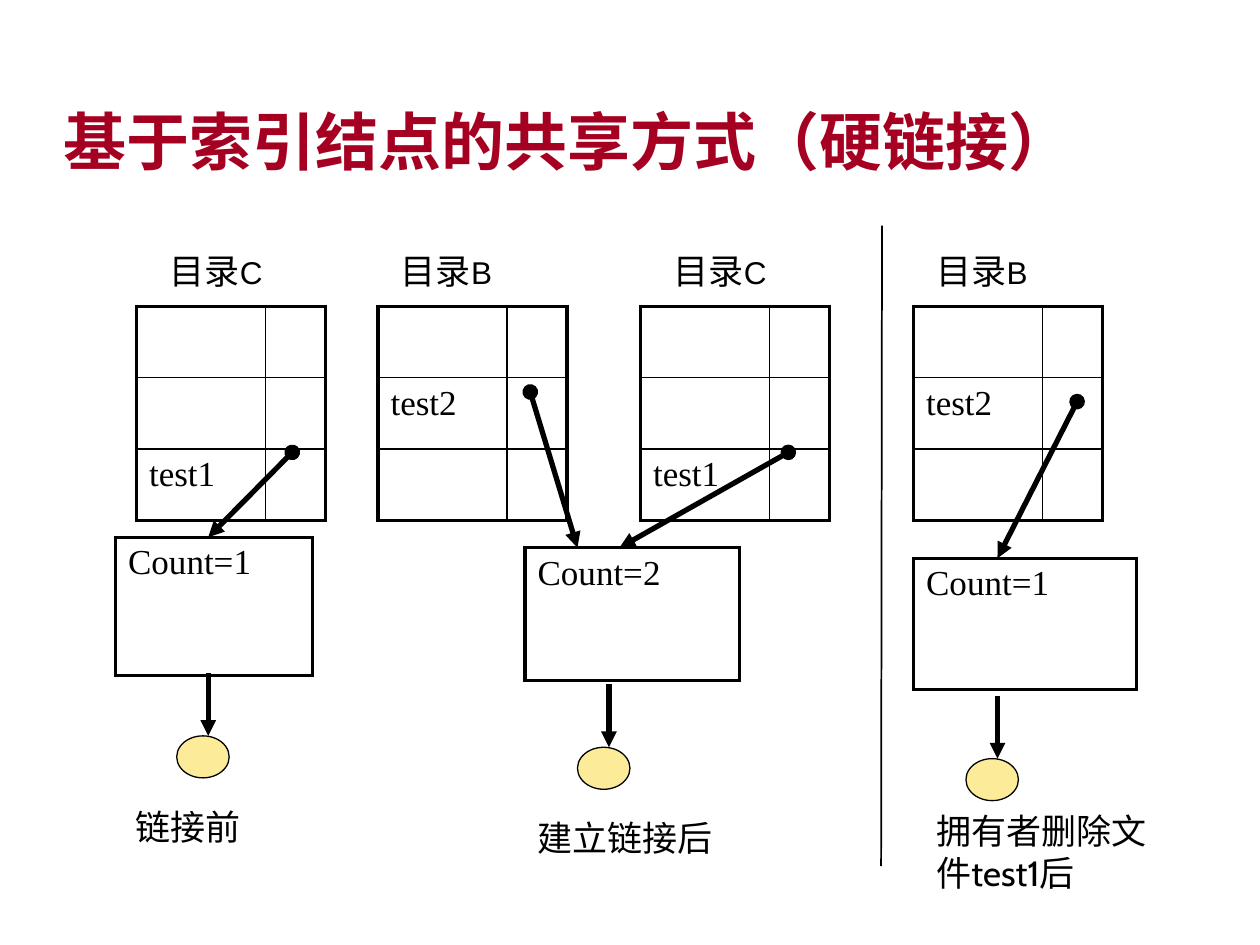
from lxml.etree import SubElement
from pptx import Presentation
from pptx.dml.color import RGBColor
from pptx.enum.shapes import MSO_CONNECTOR, MSO_SHAPE
from pptx.enum.text import MSO_ANCHOR, PP_ALIGN
from pptx.oxml.ns import qn
from pptx.util import Pt

COLORS = {name: RGBColor.from_string(value) for name, value in {
    "title": "A50021", "ink": "000000", "file": "FCEB98"}.items()}
THICK, THIN = 2.25, 1

presentation = Presentation()
presentation.slide_width, presentation.slide_height = Pt(720), Pt(540)
slide = presentation.slides.add_slide(presentation.slide_layouts[5])
shapes = slide.shapes


def add_grid(left, top, widths, heights, texts):
    """Add a table with a thick frame and thin inner lines; texts maps (row, column) to text."""
    rows, columns = len(heights), len(widths)
    table = shapes.add_table(rows, columns, Pt(left), Pt(top),
                             Pt(sum(widths)), Pt(sum(heights))).table
    table.first_row = table.horz_banding = False
    for column, width in zip(table.columns, widths):
        column.width = Pt(width)
    for row, height in zip(table.rows, heights):
        row.height = Pt(height)
    for r in range(rows):
        for c in range(columns):
            cell = table.cell(r, c)
            properties = cell._tc.get_or_add_tcPr()
            outer_sides = {"lnL": c == 0, "lnR": c == columns - 1,
                           "lnT": r == 0, "lnB": r == rows - 1}
            for side, outer in outer_sides.items():
                border = SubElement(properties, qn(f"a:{side}"),
                                    w=str(Pt(THICK if outer else THIN)))
                fill = SubElement(border, qn("a:solidFill"))
                SubElement(fill, qn("a:srgbClr"), val=str(COLORS["ink"]))
            cell.fill.background()
            if (r, c) in texts:
                paragraph = cell.text_frame.paragraphs[0]
                paragraph.text = texts[r, c]
                font = paragraph.runs[0].font
                font.size, font.name = Pt(20), "Times New Roman"
                font.color.rgb = COLORS["ink"]


def add_line(start, end, width, head=None, tail=None):
    line = shapes.add_connector(MSO_CONNECTOR.STRAIGHT, *map(Pt, start + end))
    line.line.width = Pt(width)
    line.line.color.rgb = COLORS["ink"]
    outline = line.line._get_or_add_ln()
    for tag, kind in (("a:headEnd", head), ("a:tailEnd", tail)):
        if kind:
            SubElement(outline, qn(tag), type=kind)
    SubElement(line._element.spPr, qn("a:effectLst"))


title = shapes.title
title.left, title.top, title.width, title.height = Pt(29), Pt(56), Pt(661), Pt(50)
title.text_frame.text = "基于索引结点的共享方式（硬链接）"
title.text_frame.vertical_anchor = MSO_ANCHOR.BOTTOM
paragraph = title.text_frame.paragraphs[0]
paragraph.alignment = PP_ALIGN.LEFT
paragraph.line_spacing = 0.9
font = paragraph.runs[0].font
font.size, font.name, font.bold = Pt(36), "Arial", True
font.color.rgb = COLORS["title"]

# Directory tables: left, row holding the file name, file name
directories = [(78, 2, "test1"), (216, 1, "test2"), (366, 2, "test1"), (522, 1, "test2")]
for left, row, name in directories:
    add_grid(left, 175, [73.6, 34.4], [40.8] * 3, {(row, 0): name})

# Index nodes: left, top, width, height, text
index_nodes = [(66, 307, 112.5, 79, "Count=1"), (300, 313, 122.5, 76, "Count=2"),
               (522, 319, 127.5, 75, "Count=1")]
for left, top, width, height, text in index_nodes:
    add_grid(left, top, [width], [height], {(0, 0): text})

# Labels: left, top, width, height, runs as (text, size, font)
labels = [(left, 139, 102, 36, [("目录", 20, "Cabin"), (letter, 18, "Arial")])
          for left, letter in ((90, "C"), (222, "B"), (378, "C"), (528, "B"))]
labels += [(left, top, width, height, [(text, 20, "Cabin")])
           for left, top, width, height, text in (
               (70.5, 456.5, 102, 31, "链接前"), (300, 463, 150, 31, "建立链接后"),
               (528, 459, 152, 55, "拥有者删除文件test1后"))]
for left, top, width, height, runs in labels:
    frame = shapes.add_textbox(Pt(left), Pt(top), Pt(width), Pt(height)).text_frame
    frame.word_wrap = True
    for text, size, name in runs:
        run = frame.paragraphs[0].add_run()
        run.text = text
        run.font.size, run.font.name = Pt(size), name
        run.font.color.rgb = COLORS["ink"]

# Files below the index nodes, each with the arrow that leads to it
for left, top in ((101, 420.5), (330, 427), (552, 433.5)):
    file = shapes.add_shape(MSO_SHAPE.OVAL, Pt(left), Pt(top), Pt(30), Pt(24))
    file.shadow.inherit = False
    file.fill.solid()
    file.fill.fore_color.rgb = COLORS["file"]
    file.line.color.rgb = COLORS["ink"]
    file.line.width = Pt(0.75)
    add_line((left + 18, top - 36), (left + 18, top), 3, tail="triangle")

# Pointers from directory entries to index nodes
for start, end in (((167, 258.5), (119, 307)), ((303, 224), (330, 313)),
                   ((450.5, 258.5), (354, 313)), ((615.5, 229.5), (570, 319))):
    add_line(start, end, 3, head="oval", tail="triangle")

add_line((504, 129), (503.5, 495), 1)

presentation.save("out.pptx")
